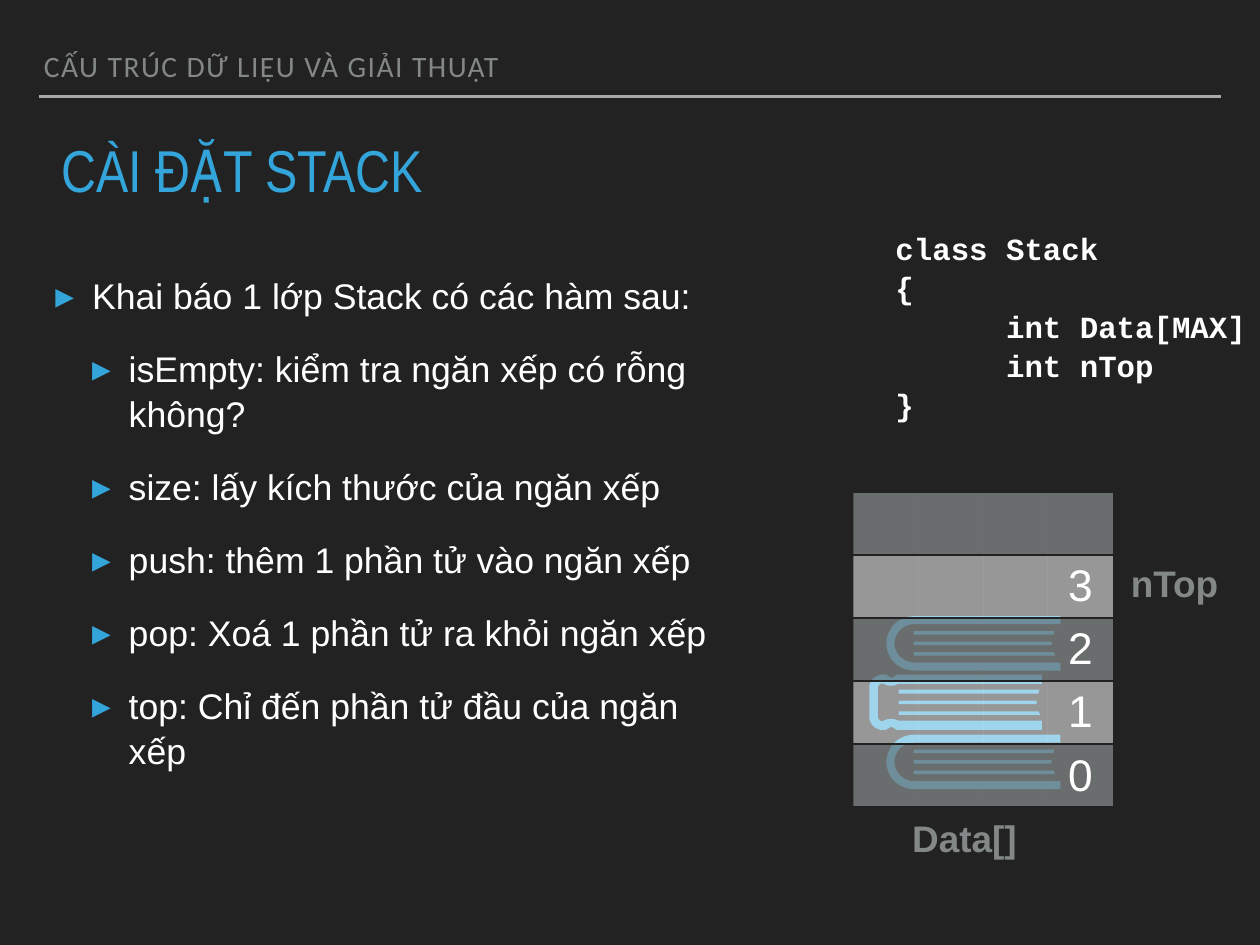
from math import cos, pi, sin

from lxml.etree import SubElement
from pptx import Presentation
from pptx.dml.color import RGBColor
from pptx.enum.shapes import MSO_CONNECTOR
from pptx.enum.text import MSO_ANCHOR, MSO_AUTO_SIZE, PP_ALIGN
from pptx.oxml.ns import qn
from pptx.util import Cm, Pt

DARK, GRAY, BLUE, WHITE = "222222", "838787", "34A5DA", "FFFFFF"
LIST = [
    (0, "Khai báo 1 lớp Stack có các hàm sau:"),
    (1, "isEmpty: kiểm tra ngăn xếp có rỗng không?"),
    (1, "size: lấy kích thước của ngăn xếp"),
    (1, "push: thêm 1 phần tử vào ngăn xếp"),
    (1, "pop: Xoá 1 phần tử ra khỏi ngăn xếp"),
    (1, "top: Chỉ đến phần tử đầu của ngăn xếp"),
]
CODE = ["class Stack", "{", "      int Data[MAX]", "      int nTop", "}"]


def color(code):
    """Turn a hex string into a colour."""
    return RGBColor.from_string(code)


def add(parent, tag, **attrs):
    """Append a drawing element with attributes."""
    return SubElement(parent, qn("a:" + tag), attrs)


def place(shape, left, top, width, height):
    """Move and size a shape in centimetres."""
    shape.left, shape.top = Cm(left), Cm(top)
    shape.width, shape.height = Cm(width), Cm(height)


def bullet(para, level):
    """Give a paragraph its indent and triangle, or no bullet for None."""
    props = para._p.get_or_add_pPr()
    if level is None:
        props.set("marL", "0")
        props.set("indent", "0")
        add(props, "buNone")
        return
    para.level = level
    props.set("marL", str(Cm(1.05 * (level + 1))))
    props.set("indent", str(-Cm(1.05)))
    add(add(props, "buClr"), "srgbClr", val=BLUE)
    add(props, "buSzPct", val="105000")
    add(props, "buFont", typeface="Arial")
    add(props, "buChar", char="▸")


def write(frame, lines, size, font="Arial", tint=WHITE, bold=False,
          align=PP_ALIGN.LEFT, anchor=MSO_ANCHOR.TOP, lead=1.0, gap=0,
          track=0, levels=None):
    """Fill a text frame with formatted paragraphs."""
    frame.word_wrap = True
    frame.auto_size = MSO_AUTO_SIZE.NONE
    frame.vertical_anchor = anchor
    frame.margin_left = frame.margin_right = Cm(0.14)
    frame.margin_top = frame.margin_bottom = Cm(0.14)
    for i, line in enumerate(lines):
        para = frame.add_paragraph() if i else frame.paragraphs[0]
        bullet(para, levels[i] if levels else None)
        para.alignment = align
        para.line_spacing = lead
        para.space_before = Pt(gap if i else 0)
        run = para.add_run()
        run.text = line
        run.font.size, run.font.name, run.font.bold = Pt(size), font, bold
        run.font.color.rgb = color(tint)
        if track:
            run._r.get_or_add_rPr().set("spc", str(track))


def label(slide, box, lines, size, **form):
    """Add a text box."""
    shape = slide.shapes.add_textbox(0, 0, 0, 0)
    place(shape, *box)
    write(shape.text_frame, lines, size, **form)


def rule(slide, left, right, top):
    """Draw the line under the header."""
    line = slide.shapes.add_connector(
        MSO_CONNECTOR.STRAIGHT, Cm(left), Cm(top), Cm(right), Cm(top))
    line.line.color.rgb = color("A6AAA9")
    line.line.width = Pt(2)
    add(line._element.spPr, "effectLst")


def arc(x, y, radius):
    """List points of a quarter circle from its top to its left."""
    turns = [pi / 2 * (1 + i / 10) for i in range(11)]
    return [(x + radius * cos(t), y - radius * sin(t)) for t in turns]


def fold(half):
    """Complete an upper half with its mirror below."""
    return half + [(x, -y) for x, y in reversed(half)]


def book(outer, inner, left, mid):
    """List the cover and page outlines of one book."""
    parts = [fold(outer) + fold(inner)[::-1]]
    ends = [(4.03, 4.01), (3.96, 3.96), (4.01, 4.06)]
    for i, (upper, lower) in enumerate(ends):
        y = (i - 1) * 0.305
        parts.append([(left, y - 0.05), (left + upper, y - 0.05),
                      (left + lower, y + 0.05), (left, y + 0.05)])
    return [[(x, y + mid) for x, y in part] for part in parts]


def books(slide):
    """Draw the pile of three books as one outline."""
    outer = [(30.4, -0.78)] + arc(26.19, 0, 0.78)
    inner = [(30.4, -0.55)] + arc(26.19, 0, 0.55)
    back = [(29.87, -0.79), (25.7, -0.79), (25.58, -0.71), (25.53, -0.71),
            (25.4, -0.79)] + arc(25.3, -0.41, 0.38)
    fore = [(29.87, -0.53), (25.76, -0.53), (25.63, -0.48),
            (25.45, -0.48)] + arc(25.3, -0.41, 0.13)
    parts = (book(outer, inner, 26.19, 18.45) + book(back, fore, 25.76, 20.14)
             + book(outer, inner, 26.19, 21.85))
    parts = [[(x * 100, y * 100) for x, y in part] for part in parts]
    form = slide.shapes.build_freeform(*parts[0][0], scale=Cm(0.01))
    for i, part in enumerate(parts):
        if i:
            form.move_to(*part[0])
        form.add_line_segments(part[1:], close=True)
    shape = form.convert_to_shape()
    shape.shadow.inherit = False
    shape.fill.solid()
    shape.fill.fore_color.rgb = color(BLUE)
    shape.line.fill.background()


def paint(cell, tint, alpha):
    """Set the borders and the translucent fill of a cell."""
    props = cell._tc.get_or_add_tcPr()
    for side in ("lnL", "lnR"):
        add(add(props, side, w="0"), "noFill")
    for side in ("lnT", "lnB"):
        line = add(props, side, w=str(Pt(2)))
        add(add(line, "solidFill"), "srgbClr", val=DARK)
    fill = add(add(props, "solidFill"), "srgbClr", val=tint)
    add(fill, "alpha", val=str(alpha * 1000))


def stack(slide):
    """Add the table of stack cells."""
    wide, high = 1.86, 1.81
    frame = slide.shapes.add_table(
        5, 4, Cm(24.46), Cm(14.1), Cm(4 * wide), Cm(5 * high))
    table = frame.table
    table.first_row = table.horz_banding = False
    for col in table.columns:
        col.width = Cm(wide)
    for i, row in enumerate(table.rows):
        row.height = Cm(high)
        for cell in row.cells:
            cell.margin_left = cell.margin_right = Cm(0.14)
            cell.margin_top = cell.margin_bottom = Cm(0.14)
            cell.vertical_anchor = MSO_ANCHOR.MIDDLE
            paint(cell, *((WHITE, 53) if i % 2 else (GRAY, 75)))
        if i:
            para = row.cells[3].text_frame.paragraphs[0]
            para.alignment = PP_ALIGN.CENTER
            run = para.add_run()
            run.text = str(4 - i)
            run.font.size, run.font.name = Pt(36), "Arial"
            run.font.color.rgb = color(WHITE)


def main():
    """Build the slide and save it."""
    deck = Presentation()
    deck.slide_width, deck.slide_height = Cm(36.12), Cm(27.1)
    slide = deck.slides.add_slide(deck.slide_layouts[3])
    slide.background.fill.solid()
    slide.background.fill.fore_color.rgb = color(DARK)
    title, body, head = slide.placeholders
    rule(slide, 1.12, 35, 2.77)
    place(head, 1.12, 1.27, 31.04, 1.27)
    write(head.text_frame, ["CẤU TRÚC DỮ LIỆU VÀ GIẢI THUẬT"], 24,
          font="Calibri", tint=GRAY, anchor=MSO_ANCHOR.BOTTOM, lead=0.8,
          track=120)
    place(title, 1.63, 4.09, 33.86, 2)
    write(title.text_frame, ["CÀI ĐẶT STACK"], 48, font="Arial Narrow",
          tint=BLUE, lead=0.8)
    place(body, 1.45, 7.65, 19.84, 16.97)
    levels, lines = zip(*LIST)
    write(body.text_frame, lines, 28.9, lead=1.05, gap=23, levels=levels)
    books(slide)
    stack(slide)
    tag = dict(tint=GRAY, bold=True, anchor=MSO_ANCHOR.MIDDLE)
    label(slide, (32.28, 15.85, 3.33, 1.73), ["nTop"], 30, **tag)
    label(slide, (26.01, 23.16, 5.31, 1.73), ["Data[]"], 30, **tag)
    label(slide, (25.53, 6.38, 10.59, 5.92), CODE, 25, font="Courier New",
          bold=True, lead=1.06)
    deck.save("out.pptx")


if __name__ == "__main__":
    main()
